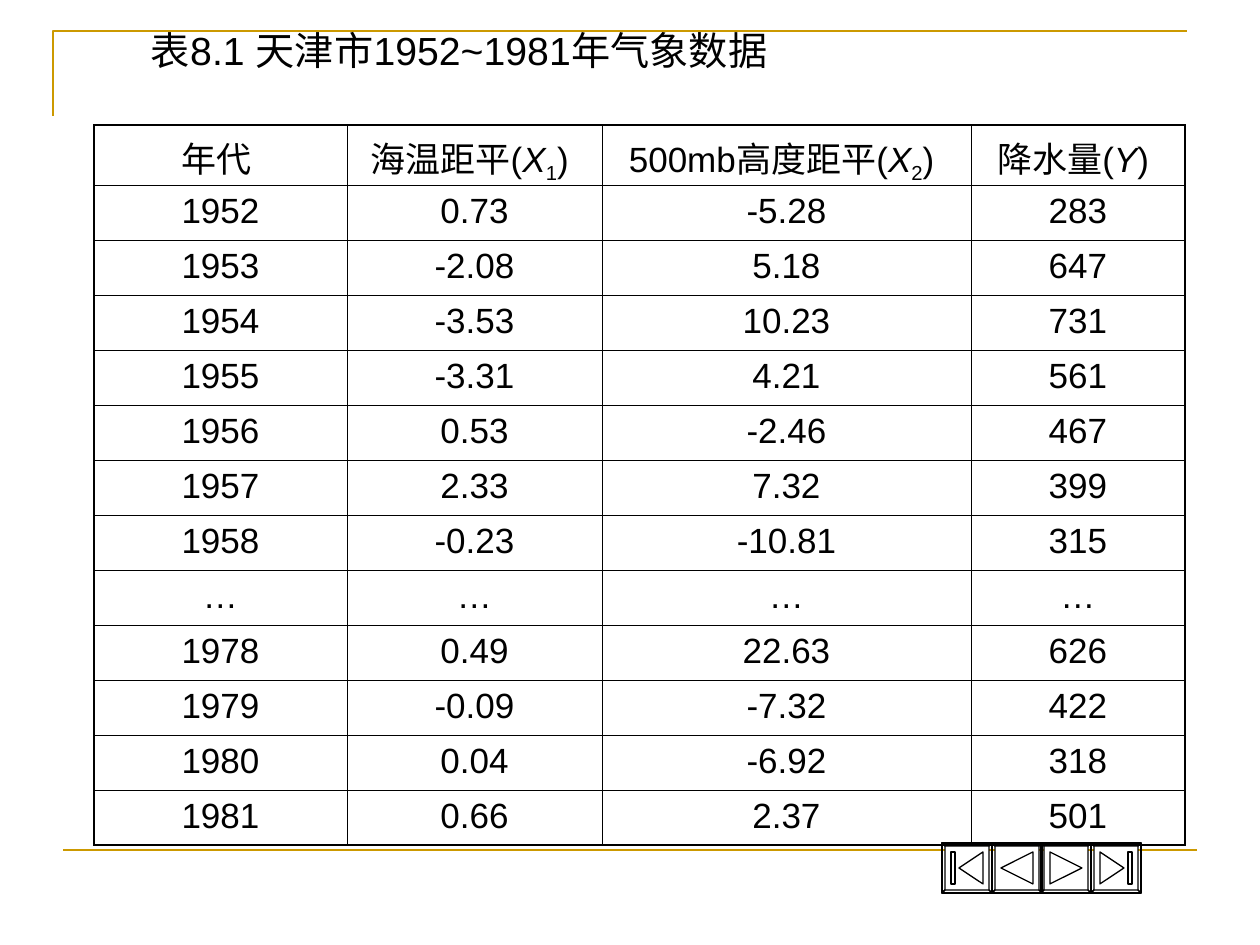
from dataclasses import dataclass
from typing import NamedTuple

from lxml import etree
from pptx import Presentation
from pptx.dml.color import RGBColor
from pptx.enum.shapes import MSO_CONNECTOR
from pptx.enum.text import MSO_ANCHOR, PP_ALIGN
from pptx.oxml.ns import qn
from pptx.util import Emu, Pt

CENTER = PP_ALIGN.CENTER
TOP = MSO_ANCHOR.TOP
STRAIGHT = MSO_CONNECTOR.STRAIGHT
SCALE = 914400 / 126
BLANK_LAYOUT = 6

Points = list[tuple[int, int]]


@dataclass(frozen=True)
class Theme:
    font: str = "Arial"
    ink: str = "000000"
    paper: str = "FFFFFF"
    gold: str = "CC9900"
    title_size: float = 22.4
    cell_size: float = 20
    frame_line: float = 1.5
    button_line: float = 0.75
    outer_border: float = 1.08
    inner_border: float = 0.45


class Span(NamedTuple):
    text: str
    italic: bool = False
    subscript: bool = False


class Button(NamedTuple):
    left: int
    icon: list[Points]


THEME = Theme()
TITLE = "表8.1 天津市1952~1981年气象数据"
HEADINGS = [
    [Span("年代 ")],
    [Span("海温距平("), Span("X", italic=True), Span("1", subscript=True), Span(") ")],
    [Span("500mb高度距平("), Span("X", italic=True), Span("2", subscript=True), Span(") ")],
    [Span("降水量("), Span("Y", italic=True), Span(") ")],
]
RECORDS = [
    ("1952", "0.73", "-5.28", "283"),
    ("1953", "-2.08", "5.18", "647"),
    ("1954", "-3.53", "10.23", "731"),
    ("1955", "-3.31", "4.21", "561"),
    ("1956", "0.53", "-2.46", "467"),
    ("1957", "2.33", "7.32", "399"),
    ("1958", "-0.23", "-10.81", "315"),
    ("…", "…", "…", "…"),
    ("1978", "0.49", "22.63", "626"),
    ("1979", "-0.09", "-7.32", "422"),
    ("1980", "0.04", "-6.92", "318"),
    ("1981", "0.66", "2.37", "501"),
]
COLUMN_WIDTHS = (253, 255, 369, 214)
HEADING_HEIGHT, RECORD_HEIGHT = 60, 55

BUTTON_TOP, BUTTON_SIZE, BEVEL = 843, 50, 3
PREVIOUS_ICON = [[(9, 25), (41, 9), (41, 41)]]
FIRST_ICON = [[(17, 25), (41, 9), (41, 41)], [(9, 9), (13, 9), (13, 41), (9, 41)]]


def mirrored(icon: list[Points]) -> list[Points]:
    return [[(BUTTON_SIZE - x, y) for x, y in outline] for outline in icon]


BUTTONS = [
    Button(942, FIRST_ICON),
    Button(992, PREVIOUS_ICON),
    Button(1041, mirrored(PREVIOUS_ICON)),
    Button(1091, mirrored(FIRST_ICON)),
]


def px(length: int) -> Emu:
    return Emu(round(length * SCALE))


def color(value: str) -> RGBColor:
    return RGBColor.from_string(value)


def style_line(shape, value: str, width: float) -> None:
    shape.line.color.rgb = color(value)
    shape.line.width = Pt(width)


def style_font(font, size: float) -> None:
    font.name = THEME.font
    font.size = Pt(size)
    font.color.rgb = color(THEME.ink)


def draw_outlines(page, outlines: list[Points], closed: bool):
    first, *others = outlines
    builder = page.shapes.build_freeform(*first[0], scale=SCALE)
    builder.add_line_segments(first[1:], close=closed)
    for outline in others:
        builder.move_to(*outline[0])
        builder.add_line_segments(outline[1:], close=closed)
    shape = builder.convert_to_shape()
    shape.shadow.inherit = False
    return shape


def draw_frame(page) -> None:
    corner = draw_outlines(page, [[(53, 116), (53, 31), (1187, 31)]], closed=False)
    corner.fill.background()
    style_line(corner, THEME.gold, THEME.frame_line)
    rule = page.shapes.add_connector(STRAIGHT, px(63), px(850), px(1197), px(850))
    style_line(rule, THEME.gold, THEME.frame_line)
    etree.SubElement(rule._element.spPr, qn("a:effectLst"))


def draw_button(page, button: Button) -> None:
    far, inner = BUTTON_SIZE, BUTTON_SIZE - BEVEL
    outside = [(0, 0), (far, 0), (far, far), (0, far)]
    inside = [(BEVEL, BEVEL), (inner, BEVEL), (inner, inner), (BEVEL, inner)]
    sides = [
        [outside[i], outside[(i + 1) % 4], inside[(i + 1) % 4], inside[i]]
        for i in range(4)
    ]
    outlines = [
        [(button.left + x, BUTTON_TOP + y) for x, y in outline]
        for outline in [outside, *sides, *button.icon]
    ]
    shape = draw_outlines(page, outlines, closed=True)
    shape.fill.solid()
    shape.fill.fore_color.rgb = color(THEME.paper)
    style_line(shape, THEME.ink, THEME.button_line)


def draw_title(page) -> None:
    box = page.shapes.add_textbox(px(64), px(26), px(1071), px(63))
    frame = box.text_frame
    frame.word_wrap = True
    frame.vertical_anchor = TOP
    frame.margin_left = px(87)
    frame.margin_top = 0
    frame.text = TITLE
    style_font(frame.paragraphs[0].runs[0].font, THEME.title_size)


def set_borders(cell, outer_edges: dict[str, bool]) -> None:
    properties = cell._tc.get_or_add_tcPr()
    for edge, is_outer in outer_edges.items():
        width = THEME.outer_border if is_outer else THEME.inner_border
        line = etree.SubElement(properties, qn(f"a:{edge}"), w=str(Pt(width)))
        fill = etree.SubElement(line, qn("a:solidFill"))
        etree.SubElement(fill, qn("a:srgbClr"), val=THEME.ink)


def fill_cell(cell, spans: list[Span]) -> None:
    paragraph = cell.text_frame.paragraphs[0]
    paragraph.alignment = CENTER
    for span in spans:
        run = paragraph.add_run()
        run.text = span.text
        style_font(run.font, THEME.cell_size)
        run.font.italic = span.italic
        if span.subscript:
            run._r.get_or_add_rPr().set("baseline", "-25000")


def draw_table(page) -> None:
    rows = [HEADINGS] + [[[Span(value)] for value in record] for record in RECORDS]
    heights = [HEADING_HEIGHT] + [RECORD_HEIGHT] * len(RECORDS)
    last_row, last_column = len(rows) - 1, len(COLUMN_WIDTHS) - 1
    table = page.shapes.add_table(
        len(rows), len(COLUMN_WIDTHS),
        px(94), px(125), px(sum(COLUMN_WIDTHS)), px(sum(heights)),
    ).table
    for column, width in zip(table.columns, COLUMN_WIDTHS):
        column.width = px(width)
    for r, (row, height) in enumerate(zip(rows, heights)):
        table.rows[r].height = px(height)
        for c, spans in enumerate(row):
            cell = table.cell(r, c)
            fill_cell(cell, spans)
            set_borders(cell, {
                "lnL": c == 0, "lnR": c == last_column,
                "lnT": r == 0, "lnB": r == last_row,
            })
            cell.fill.background()


def main() -> None:
    deck = Presentation()
    deck.slide_width, deck.slide_height = px(1260), px(945)
    page = deck.slides.add_slide(deck.slide_layouts[BLANK_LAYOUT])
    draw_frame(page)
    for button in BUTTONS:
        draw_button(page, button)
    draw_title(page)
    draw_table(page)
    deck.save("out.pptx")


if __name__ == "__main__":
    main()
